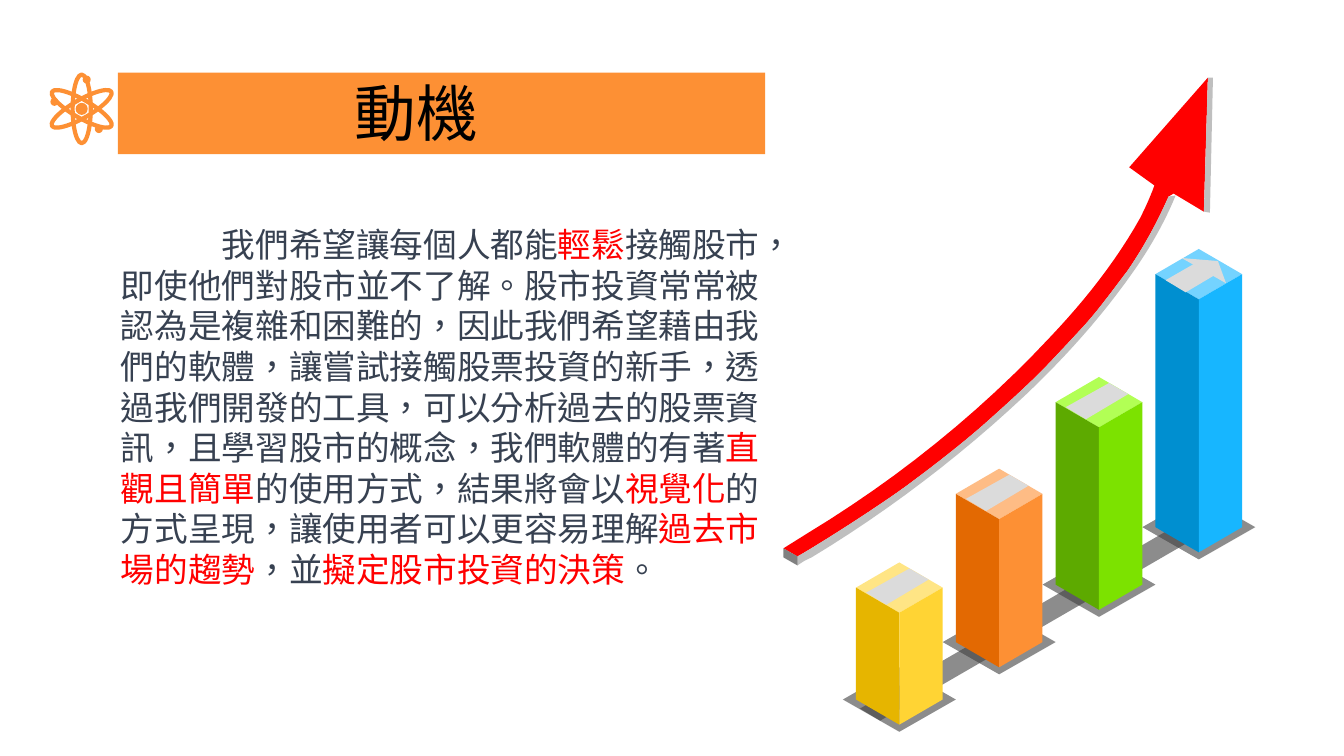
"""Build the motivation slide with its isometric bar chart and rising arrow."""
import lxml.etree
import pptx
import pptx.dml.color
import pptx.enum.shapes
import pptx.enum.text
import pptx.oxml.ns
import pptx.util

PX = 9144
ORANGE, RED, INK, SILVER, GREY = "FD9034", "FF0000", "374151", "DBDBDB", "BFBFBF"
BARS = [
    (583, "FFE585", "E6B500", "FFD434"),
    (490, "FEBC85", "E36902", "FD9034"),
    (399, "B2FF55", "5DAA00", "7CE200"),
    (272, "74D3FF", "008FD0", "17B6FF"),
]
FIRST_X, FIRST_Y, STEP_X, STEP_Y = 892, 694, 99, -57
HALF_WIDTH, HALF_DEPTH = 43, 25
STRIPE = [(29, -8), (-13, 17), (-33, 5), (10, -19)]
SHORT_STRIPE = [(19, -1), (-13, 18), (-33, 6), (0, -13)]
STRIPE_HEAD = [(19, -13), (27, 9), (-17, -16)]
ARROW_UPPER = [
    (777, 544), (785, 539), (793, 534), (801, 529), (890, 475), (971, 410), (1042, 334),
    (1076, 298), (1107, 259), (1131, 216), (1136, 206), (1141, 195), (1145, 184),
]
ARROW_HEAD = [(1120, 166), (1198, 77), (1194, 210), (1164, 192)]
ARROW_LOWER = [
    (1159, 195), (1148, 220), (1134, 246), (1118, 269), (1105, 286), (1092, 304), (1078, 320),
    (1070, 329), (1040, 361), (1033, 368), (1015, 386), (996, 403), (977, 420),
    (952, 442), (926, 462), (899, 482), (869, 504), (809, 542), (791, 552),
]
SHADOW_LOWER = [
    (1166, 194), (1155, 221), (1140, 247), (1123, 271), (1092, 315), (1056, 355), (1017, 392),
    (952, 453), (881, 507), (805, 553), (800, 555), (795, 558), (791, 561),
]
MOTIVATION = [
    ("我們希望讓每個人都能", INK),
    ("輕鬆", RED),
    ("接觸股市，即使他們對股市並不了解。股市投資常常被認為是複雜和困難的，"
     "因此我們希望藉由我們的軟體，讓嘗試接觸股票投資的新手，透過我們開發的工具，"
     "可以分析過去的股票資訊，且學習股市的概念，我們軟體的有著", INK),
    ("直觀且簡單", RED),
    ("的使用方式，結果將會以", INK),
    ("視覺化", RED),
    ("的方式呈現，讓使用者可以更容易理解", INK),
    ("過去市場的趨勢", RED),
    ("，並", INK),
    ("擬定股市投資的決策", RED),
    ("。", INK),
]


def rgb(value):
    return pptx.dml.color.RGBColor.from_string(value)


def write(para, text, size=24, color=INK, font="Noto Sans CJK SC"):
    span = para.add_run()
    span.text = text
    span.font.size = pptx.util.Pt(size)
    span.font.name = font
    span.font.color.rgb = rgb(color)
    properties = span.font._element
    properties.set("lang", "zh-TW")
    east_asian = lxml.etree.SubElement(properties, pptx.oxml.ns.qn("a:ea"))
    east_asian.set("typeface", font)


def curve(points, steps=12):
    result = [points[0]]
    for start in range(0, len(points) - 1, 3):
        a, b, c, d = points[start:start + 4]
        for step in range(1, steps + 1):
            t = step / steps
            u = 1 - t
            result.append(tuple(
                u ** 3 * a[i] + 3 * u * u * t * b[i] + 3 * u * t * t * c[i] + t ** 3 * d[i]
                for i in (0, 1)))
    return result


def shifted(points, x, y):
    return [(x + dx, y + dy) for dx, dy in points]


def diamond(x, y, half_width, half_depth):
    return shifted([(half_width, 0), (0, half_depth), (-half_width, 0), (0, -half_depth)], x, y)


class Slide:
    def __init__(self, page):
        self.page = page
        self.chart = page.shapes.add_group_shape()

    def outline(self, points, color, opacity=100):
        corners = [(x * PX, y * PX) for x, y in points]
        builder = self.chart.shapes.build_freeform(*corners[0], scale=1.0)
        builder.add_line_segments(corners[1:], close=True)
        shape = builder.convert_to_shape()
        self.paint(shape, color)
        if opacity < 100:
            fill_color = shape._element.spPr.find(".//" + pptx.oxml.ns.qn("a:srgbClr"))
            alpha = lxml.etree.SubElement(fill_color, pptx.oxml.ns.qn("a:alpha"))
            alpha.set("val", str(opacity * 1000))

    def paint(self, shape, color):
        shape.shadow.inherit = False
        shape.fill.solid()
        shape.fill.fore_color.rgb = rgb(color)
        shape.line.fill.background()

    def preset(self, kind, left, top, width, height, color):
        kind = getattr(pptx.enum.shapes.MSO_SHAPE, kind)
        shape = self.page.shapes.add_shape(kind, left * PX, top * PX, width * PX, height * PX)
        self.paint(shape, color)
        return shape

    def dot(self, x, y, radius):
        self.preset("OVAL", x - radius, y - radius, 2 * radius, 2 * radius, ORANGE)

    def orbit(self, x, y, width, height, angle):
        ring = self.preset("OVAL", x - width // 2, y - height // 2, width, height, ORANGE)
        ring.rotation = angle
        ring.fill.background()
        ring.line.color.rgb = rgb(ORANGE)
        ring.line.width = pptx.util.Pt(3)

    def placeholder(self, box, left, top, width, height):
        box.left, box.top, box.width, box.height = (n * PX for n in (left, top, width, height))
        self.page.shapes._spTree.append(box._element)
        frame = box.text_frame
        frame.word_wrap = True
        frame.auto_size = pptx.enum.text.MSO_AUTO_SIZE.NONE
        frame.vertical_anchor = pptx.enum.text.MSO_ANCHOR.TOP
        para = frame.paragraphs[0]
        para.alignment = pptx.enum.text.PP_ALIGN.LEFT
        para.space_before = pptx.util.Pt(0)
        return para

    def bar(self, index, top, lid, left_side, right_side):
        x = FIRST_X + index * STEP_X
        bottom = FIRST_Y + index * STEP_Y
        self.outline(diamond(x, top, HALF_WIDTH, HALF_DEPTH), lid)
        for edge, color in ((-HALF_WIDTH, left_side), (HALF_WIDTH, right_side)):
            self.outline([(x, bottom + HALF_DEPTH), (x + edge, bottom),
                          (x + edge, top), (x, top + HALF_DEPTH)], color)
        last = index == len(BARS) - 1
        for marks in ([SHORT_STRIPE, STRIPE_HEAD] if last else [STRIPE]):
            self.outline(shifted(marks, x, top), SILVER)


def main():
    deck = pptx.Presentation()
    deck.slide_width, deck.slide_height = 1333 * PX, 750 * PX
    page = deck.slides.add_slide(deck.slide_layouts[1])
    slide = Slide(page)

    for index in range(len(BARS)):
        slide.outline(diamond(FIRST_X + index * STEP_X, FIRST_Y + index * STEP_Y, 56, 32),
                      "404040", opacity=60)
    slide.outline([(1227, 510), (873, 715), (853, 703), (1207, 498)], "404040", opacity=60)
    lower = curve(ARROW_LOWER)
    slide.outline(curve(ARROW_UPPER) + ARROW_HEAD + lower, RED)
    slide.outline(curve(SHADOW_LOWER) + lower[::-1], GREY)
    slide.outline([(1194, 210), (1198, 77), (1203, 77), (1200, 211)], GREY)
    slide.outline([(791, 561), (777, 553), (777, 544), (791, 552)], "808080")
    for index, bar in enumerate(BARS):
        slide.bar(index, *bar)

    body = slide.placeholder(page.placeholders[1], 110, 217, 660, 374)
    body.line_spacing = pptx.util.Pt(29)
    properties = body._p.get_or_add_pPr()
    properties.set("marL", "0")
    properties.set("indent", str(100 * PX))
    lxml.etree.SubElement(properties, pptx.oxml.ns.qn("a:buNone"))
    for text, color in MOTIVATION:
        write(body, text, color=color)

    for angle in (0, 60, 120):
        slide.orbit(81, 108, 18, 68, angle)
    for x, y, radius in ((81, 108, 6), (86, 79, 4), (54, 101, 4), (98, 128, 4)):
        slide.dot(x, y, radius)
    slide.preset("RECTANGLE", 117, 72, 642, 81, ORANGE)
    title = slide.placeholder(page.shapes.title, 342, 69, 628, 84)
    title.line_spacing = pptx.util.Pt(53)
    write(title, "動機", size=44, color="000000")
    deck.save("out.pptx")


if __name__ == "__main__":
    main()
